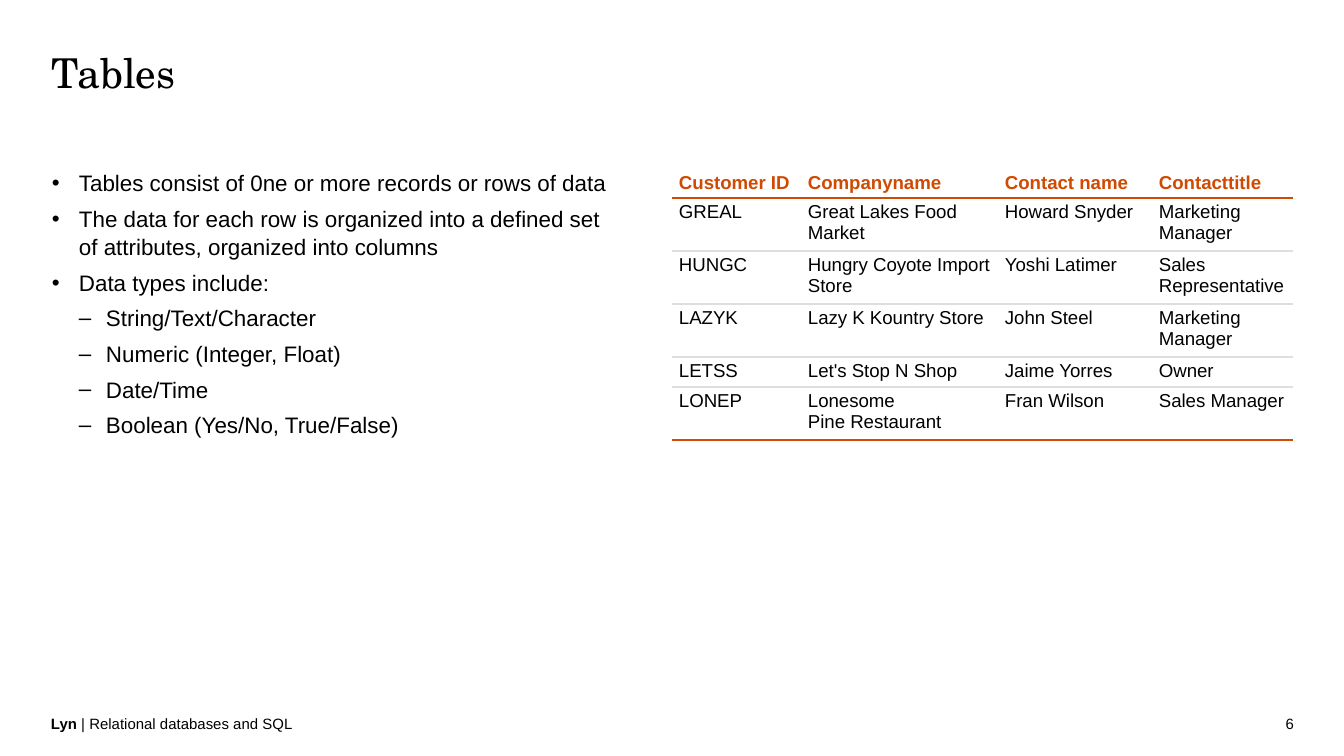
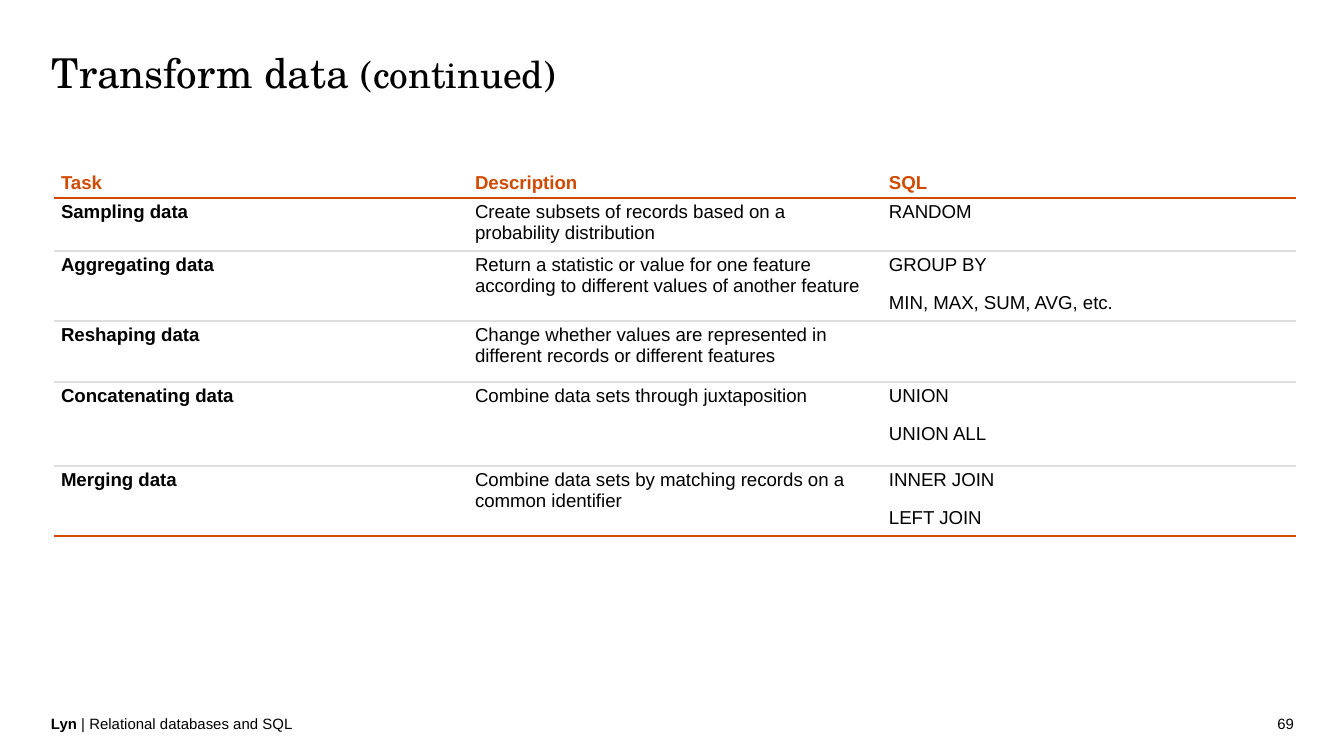
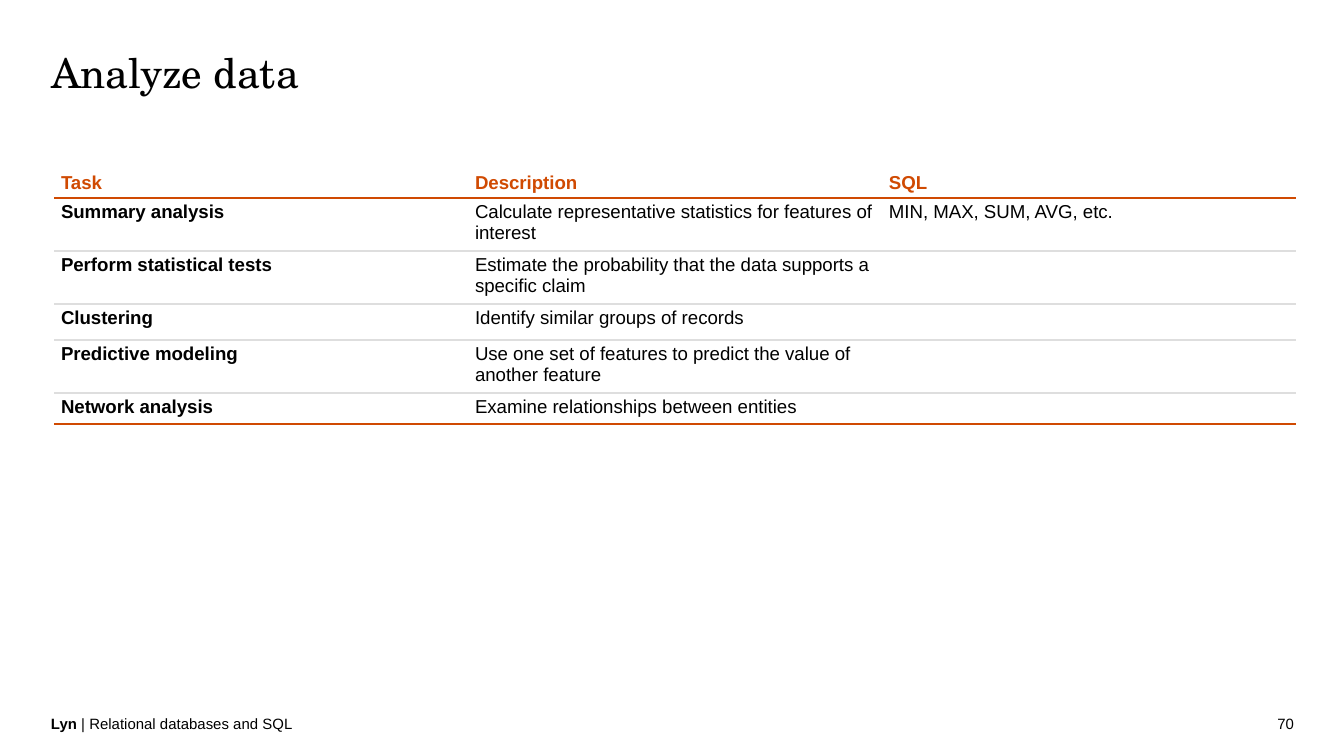
"""Build three slides on relational tables and the SQL for transforming and analyzing data."""
from dataclasses import dataclass

from lxml import etree
from pptx import Presentation
from pptx.dml.color import RGBColor
from pptx.enum.text import MSO_ANCHOR, MSO_AUTO_SIZE, PP_ALIGN
from pptx.oxml.ns import qn
from pptx.util import Emu, Pt

LEFT, RIGHT = PP_ALIGN.LEFT, PP_ALIGN.RIGHT
TOP, BOTTOM = MSO_ANCHOR.TOP, MSO_ANCHOR.BOTTOM
FIXED_SIZE = MSO_AUTO_SIZE.NONE

SLIDE_WIDTH, SLIDE_HEIGHT = 1344, 756
EMU_PER_PX = 9144000 / SLIDE_WIDTH
MARGIN = 51
CONTENT_WIDTH = 1243
CONTENT_TOP = 168
FOOTER_TOP, FOOTER_HEIGHT = 715, 18
BULLET_INDENT = 27
CELL_MARGIN_X, CELL_MARGIN_Y = 7, 4

BODY_FONT, TITLE_FONT = "Arial", "TeX Gyre Schola"
BLACK, WHITE, ORANGE, GRAY = "000000", "FFFFFF", "D04A02", "DEDEDE"
TITLE_ONLY = 5


@dataclass(frozen=True)
class Span:
    """A piece of text with its own size and weight."""
    text: str
    size: int
    bold: bool = False


@dataclass(frozen=True)
class Bullet:
    """A list item and its level."""
    text: str
    level: int = 1


@dataclass(frozen=True)
class Grid:
    """A ruled table whose first row is the header."""
    left: int
    columns: list[int]
    heights: list[int]
    rows: list[tuple[str, ...]]
    bold_labels: bool = True


@dataclass(frozen=True)
class Page:
    """The content of one slide."""
    number: int
    title: list[Span]
    grid: Grid
    bullets: tuple[Bullet, ...] = ()


TASK_HEADER = ("Task", "Description", "SQL")
TASK_COLUMNS = [414] * 3

PAGES = [
    Page(
        6,
        [Span("Tables", 22)],
        Grid(
            672,
            [129, 197, 154, 141],
            [30, 53, 53, 53, 30, 53],
            [
                ("Customer ID", "Companyname", "Contact name", "Contacttitle"),
                ("GREAL", "Great Lakes Food Market", "Howard Snyder", "Marketing Manager"),
                ("HUNGC", "Hungry Coyote Import Store", "Yoshi Latimer", "Sales Representative"),
                ("LAZYK", "Lazy K Kountry Store", "John Steel", "Marketing Manager"),
                ("LETSS", "Let's Stop N Shop", "Jaime Yorres", "Owner"),
                ("LONEP", "Lonesome\vPine Restaurant", "Fran Wilson", "Sales Manager"),
            ],
            bold_labels=False,
        ),
        (
            Bullet("Tables consist of 0ne or more records or rows of data"),
            Bullet("The data for each row is organized into a defined set of attributes, "
                   "organized into columns"),
            Bullet("Data types include:"),
            Bullet("String/Text/Character", 2),
            Bullet("Numeric (Integer, Float)", 2),
            Bullet("Date/Time", 2),
            Bullet("Boolean (Yes/No, True/False)", 2),
        ),
    ),
    Page(
        69,
        [Span("Transform data ", 22), Span("(continued)", 20)],
        Grid(
            54,
            TASK_COLUMNS,
            [30, 53, 70, 61, 84, 70],
            [
                TASK_HEADER,
                ("Sampling data",
                 "Create subsets of records based on a \vprobability distribution", "RANDOM"),
                ("Aggregating data",
                 "Return a statistic or value for one feature according to different values "
                 "of another feature", "GROUP BY\nMIN, MAX, SUM, AVG, etc."),
                ("Reshaping data",
                 "Change whether values are represented in different records or different "
                 "features", ""),
                ("Concatenating data",
                 "Combine data sets through juxtaposition", "UNION\nUNION ALL"),
                ("Merging data",
                 "Combine data sets by matching records on a common identifier",
                 "INNER JOIN\nLEFT JOIN"),
            ],
        ),
    ),
    Page(
        70,
        [Span("Analyze data", 22)],
        Grid(
            54,
            TASK_COLUMNS,
            [30, 53, 53, 36, 53, 31],
            [
                TASK_HEADER,
                ("Summary analysis",
                 "Calculate representative statistics for features of interest",
                 "MIN, MAX, SUM, AVG, etc."),
                ("Perform statistical tests",
                 "Estimate the probability that the data supports a specific claim", ""),
                ("Clustering", "Identify similar groups of records", ""),
                ("Predictive modeling",
                 "Use one set of features to predict the value of another feature", ""),
                ("Network analysis", "Examine relationships between entities", ""),
            ],
        ),
    ),
]


def px(length: int) -> Emu:
    """Turn px into EMU."""
    return Emu(round(length * EMU_PER_PX))


def color(value: str) -> RGBColor:
    """Turn a hex string into a colour."""
    return RGBColor.from_string(value)


def set_font(font, name: str, hex_color: str = BLACK, size: int | None = None,
             bold: bool | None = None) -> None:
    """Set the typeface, colour, size and weight of a font."""
    font.name = name
    font.color.rgb = color(hex_color)
    if size is not None:
        font.size = Pt(size)
    if bold is not None:
        font.bold = bold


def prepare_frame(frame) -> None:
    """Make a text frame wrap at its edges with no insets."""
    frame.word_wrap = True
    frame.auto_size = FIXED_SIZE
    frame.vertical_anchor = TOP
    frame.margin_left = frame.margin_right = frame.margin_top = frame.margin_bottom = 0


def add_spans(para, spans: list[Span], font_name: str, align: PP_ALIGN = LEFT) -> None:
    """Fill a paragraph with spans in one typeface."""
    para.alignment = align
    set_font(para.font, font_name)
    for span in spans:
        run = para.add_run()
        run.text = span.text
        run.font.size = Pt(span.size)
        run.font.bold = span.bold


def add_box(slide, left: int, top: int, width: int, height: int):
    """Add an empty text box and return its text frame."""
    box = slide.shapes.add_textbox(px(left), px(top), px(width), px(height))
    prepare_frame(box.text_frame)
    return box.text_frame


def add_title(slide, spans: list[Span]) -> None:
    """Place and fill the title placeholder."""
    title = slide.shapes.title
    title.left, title.top = px(MARGIN), px(47)
    title.width, title.height = px(CONTENT_WIDTH), px(55)
    prepare_frame(title.text_frame)
    add_spans(title.text_frame.paragraphs[0], spans, TITLE_FONT)


def add_footer(slide, number: int) -> None:
    """Add the footer line and the page number."""
    label = add_box(slide, MARGIN, FOOTER_TOP, 454, FOOTER_HEIGHT)
    add_spans(label.paragraphs[0],
              [Span("Lyn", 8, True), Span(" | Relational databases and SQL", 8)], BODY_FONT)
    page_number = add_box(slide, 992, FOOTER_TOP, 302, FOOTER_HEIGHT)
    add_spans(page_number.paragraphs[0], [Span(str(number), 8)], BODY_FONT, RIGHT)


def add_bullets(slide, bullets: tuple[Bullet, ...]) -> None:
    """Add a two-level bulleted list."""
    frame = add_box(slide, 52, CONTENT_TOP, 558, 262)
    for index, bullet in enumerate(bullets):
        para = frame.add_paragraph() if index else frame.paragraphs[0]
        para.text = bullet.text
        properties = para._p.get_or_add_pPr()
        properties.set("marL", str(px(BULLET_INDENT * bullet.level)))
        properties.set("indent", str(-px(BULLET_INDENT)))
        bullet_color = etree.SubElement(properties, qn("a:buClr"))
        etree.SubElement(bullet_color, qn("a:srgbClr"), val=BLACK)
        etree.SubElement(properties, qn("a:buFont"), typeface=BODY_FONT)
        etree.SubElement(properties, qn("a:buChar"), char="•" if bullet.level == 1 else "–")
        para.line_spacing = 1.05
        if index:
            para.space_before = Pt(4)
        set_font(para.font, BODY_FONT, size=12)


def set_border(cell, side: str, hex_color: str | None) -> None:
    """Draw one side of a cell, or leave it open."""
    line = etree.SubElement(cell._tc.get_or_add_tcPr(), qn(f"a:ln{side}"), w=str(Pt(1)))
    if hex_color is None:
        etree.SubElement(line, qn("a:noFill"))
    else:
        fill = etree.SubElement(line, qn("a:solidFill"))
        etree.SubElement(fill, qn("a:srgbClr"), val=hex_color)


def fill_cell(cell, text: str, is_header: bool, bold: bool) -> None:
    """Write and format the text of a cell."""
    cell.margin_left = cell.margin_right = px(CELL_MARGIN_X)
    cell.margin_top = cell.margin_bottom = px(CELL_MARGIN_Y)
    cell.vertical_anchor = BOTTOM if is_header else TOP
    frame = cell.text_frame
    for index, line in enumerate(text.split("\n")):
        para = frame.add_paragraph() if index else frame.paragraphs[0]
        if line:
            para.text = line
        else:
            etree.SubElement(para._p, qn("a:endParaRPr"), sz="1000")
        if index:
            para.space_before = Pt(9)
        set_font(para.font, BODY_FONT, ORANGE if is_header else BLACK, 10, bold)


def add_grid(slide, grid: Grid) -> None:
    """Add a table with orange outer rules and gray inner rules."""
    last = len(grid.rows) - 1
    frame = slide.shapes.add_table(
        len(grid.rows), len(grid.columns), px(grid.left), px(CONTENT_TOP),
        px(sum(grid.columns)), px(sum(grid.heights)))
    table = frame.table
    table.first_row = table.horz_banding = False
    for column, width in zip(table.columns, grid.columns):
        column.width = px(width)
    rules = [None] + [ORANGE if row in (0, last) else GRAY for row in range(last + 1)]
    for row, texts in enumerate(grid.rows):
        table.rows[row].height = px(grid.heights[row])
        for column, text in enumerate(texts):
            cell = table.cell(row, column)
            is_header = row == 0
            fill_cell(cell, text, is_header, is_header or (grid.bold_labels and column == 0))
            for side, rule in zip("LRTB", (None, None, rules[row], rules[row + 1])):
                set_border(cell, side, rule)
            cell.fill.solid()
            cell.fill.fore_color.rgb = color(WHITE)


def main() -> None:
    """Build and save the deck."""
    deck = Presentation()
    deck.slide_width, deck.slide_height = px(SLIDE_WIDTH), px(SLIDE_HEIGHT)
    for page in PAGES:
        slide = deck.slides.add_slide(deck.slide_layouts[TITLE_ONLY])
        add_title(slide, page.title)
        add_footer(slide, page.number)
        if page.bullets:
            add_bullets(slide, page.bullets)
        add_grid(slide, page.grid)
    deck.save("out.pptx")


if __name__ == "__main__":
    main()
